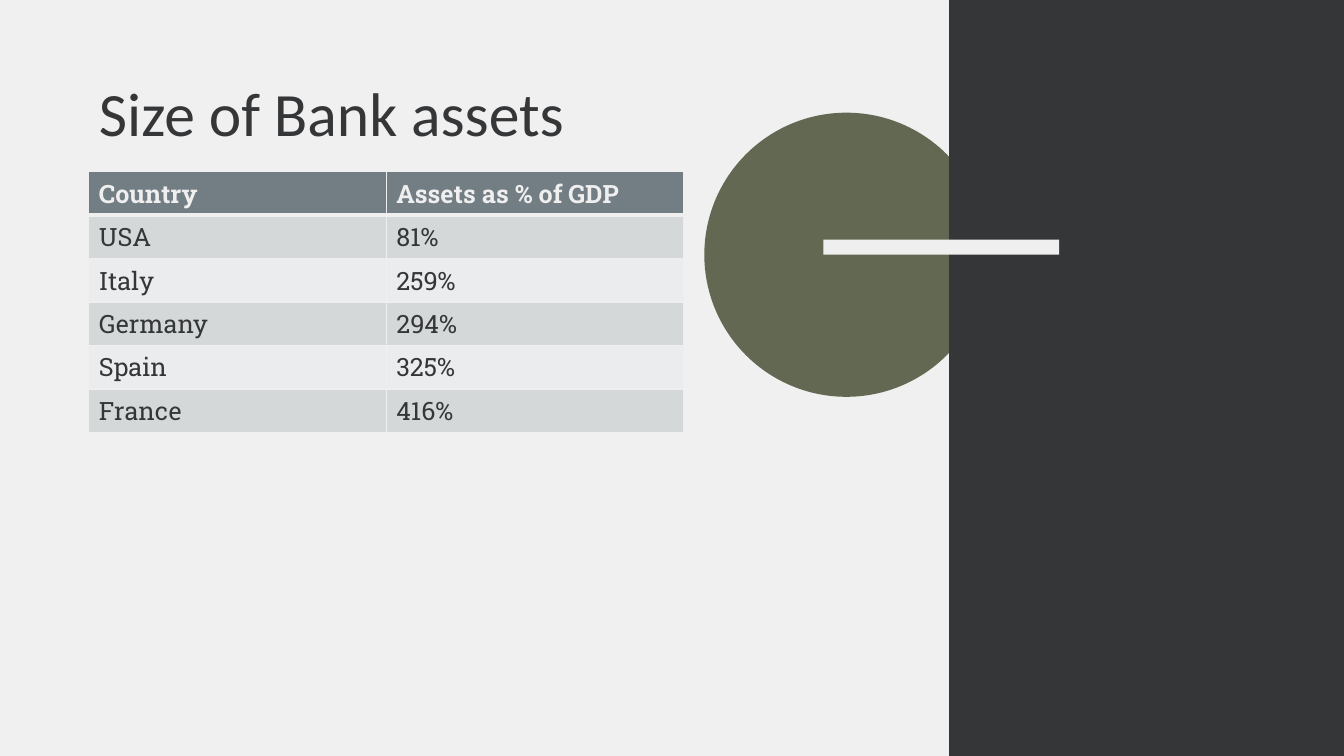
import pptx
import pptx.util
import pptx.dml.color
import pptx.enum.shapes
import pptx.enum.text
import pptx.oxml
import pptx.oxml.ns
from dataclasses import dataclass
from lxml import etree

Cm, Pt = pptx.util.Cm, pptx.util.Pt
SHAPE = pptx.enum.shapes.MSO_SHAPE


@dataclass(frozen=True)
class Theme:
    paper: str = "F0F0F0"
    light: str = "EFEFEF"
    dark: str = "353638"
    olive: str = "636852"
    header: str = "737E84"
    bands: tuple = ("D5D8D9", "EBECED")
    title_font: str = "Calibri"
    body_font: str = "Roboto Slab"
    title_size: int = 44
    body_size: int = 18
    rule: int = 1
    header_rule: int = 3


THEME = Theme()
ASSETS = [
    ("Country", "Assets as % of GDP"),
    ("USA", "81%"),
    ("Italy", "259%"),
    ("Germany", "294%"),
    ("Spain", "325%"),
    ("France", "416%"),
]


def paint(fill, color):
    fill.solid()
    fill.fore_color.rgb = pptx.dml.color.RGBColor.from_string(color)


def format_text(p, color, **values):
    for name, value in values.items():
        setattr(p.font, name, value)
    p.font.color.rgb = pptx.dml.color.RGBColor.from_string(color)


def add_decoration(s, left, top, width, height):
    """Dark side panel with the circle behind it and the bar across its edge."""
    parts = [
        (SHAPE.OVAL, THEME.olive, (0, 2.84, 7.16, 7.16)),
        (SHAPE.RECTANGLE, THEME.dark, (6.17, 0, width - 6.17, height)),
        (SHAPE.RECTANGLE, THEME.light, (3, 6.04, 5.94, 0.38)),
    ]
    for kind, color, (x, y, w, h) in parts:
        sp = s.shapes.add_shape(kind, Cm(left + x), Cm(top + y), Cm(w), Cm(h))
        sp.shadow.inherit = False
        paint(sp.fill, color)
        sp.line.fill.background()


def add_title(s, text, left, top, width, height):
    sp = s.shapes.title
    box = dict(left=left, top=top, width=width, height=height)
    for name, value in box.items():
        setattr(sp, name, Cm(value))
    tf = sp.text_frame
    tf.text = text
    frame = dict(word_wrap=True, auto_size=pptx.enum.text.MSO_AUTO_SIZE.NONE,
                 vertical_anchor=pptx.enum.text.MSO_ANCHOR.BOTTOM)
    for name, value in frame.items():
        setattr(tf, name, value)
    p = tf.paragraphs[0]
    p.alignment = pptx.enum.text.PP_ALIGN.LEFT
    p.line_spacing = 0.9
    format_text(p, THEME.dark, name=THEME.title_font, size=Pt(THEME.title_size))


def set_borders(cell, top, bottom):
    tcPr = cell._tc.get_or_add_tcPr()
    widths = dict(lnL=THEME.rule, lnR=THEME.rule, lnT=top, lnB=bottom)
    # Border lines come before the fill in the cell properties
    for i, (tag, width) in enumerate(widths.items()):
        ln = etree.Element(pptx.oxml.ns.qn(f"a:{tag}"), w=str(Pt(width)))
        solid = etree.SubElement(ln, pptx.oxml.ns.qn("a:solidFill"))
        etree.SubElement(solid, pptx.oxml.ns.qn("a:srgbClr"), val=THEME.light)
        tcPr.insert(i, ln)


def add_assets_table(s, rows, left, top, width, height):
    n_rows, n_cols = len(rows), len(rows[0])
    table = s.shapes.add_table(n_rows, n_cols, Cm(left), Cm(top),
                               Cm(width), Cm(height)).table
    for i, row in enumerate(rows):
        is_header = i == 0
        fill = THEME.header if is_header else THEME.bands[(i - 1) % 2]
        for j, text in enumerate(row):
            cell = table.cell(i, j)
            cell.text = text
            paint(cell.fill, fill)
            set_borders(cell,
                        top=THEME.header_rule if i == 1 else THEME.rule,
                        bottom=THEME.header_rule if is_header else THEME.rule)
            format_text(cell.text_frame.paragraphs[0],
                        THEME.light if is_header else THEME.dark,
                        name=THEME.body_font, size=Pt(THEME.body_size),
                        bold=is_header)


def add_bank_assets_slide(prs):
    s = prs.slides.add_slide(prs.slide_layouts[5])
    paint(s.background.fill, THEME.paper)
    add_decoration(s, 17.75, 0, 16.12, 19.05)
    # Title and table share the left column
    left, width = 2.24, 14.99
    add_title(s, "Size of Bank assets", left, 0.61, width, 3.3)
    add_assets_table(s, ASSETS, left, 4.33, width, 6.18)


def main():
    prs = pptx.Presentation()
    prs.slide_width, prs.slide_height = Cm(33.87), Cm(19.05)
    add_bank_assets_slide(prs)
    prs.save("out.pptx")


if __name__ == "__main__":
    main()
